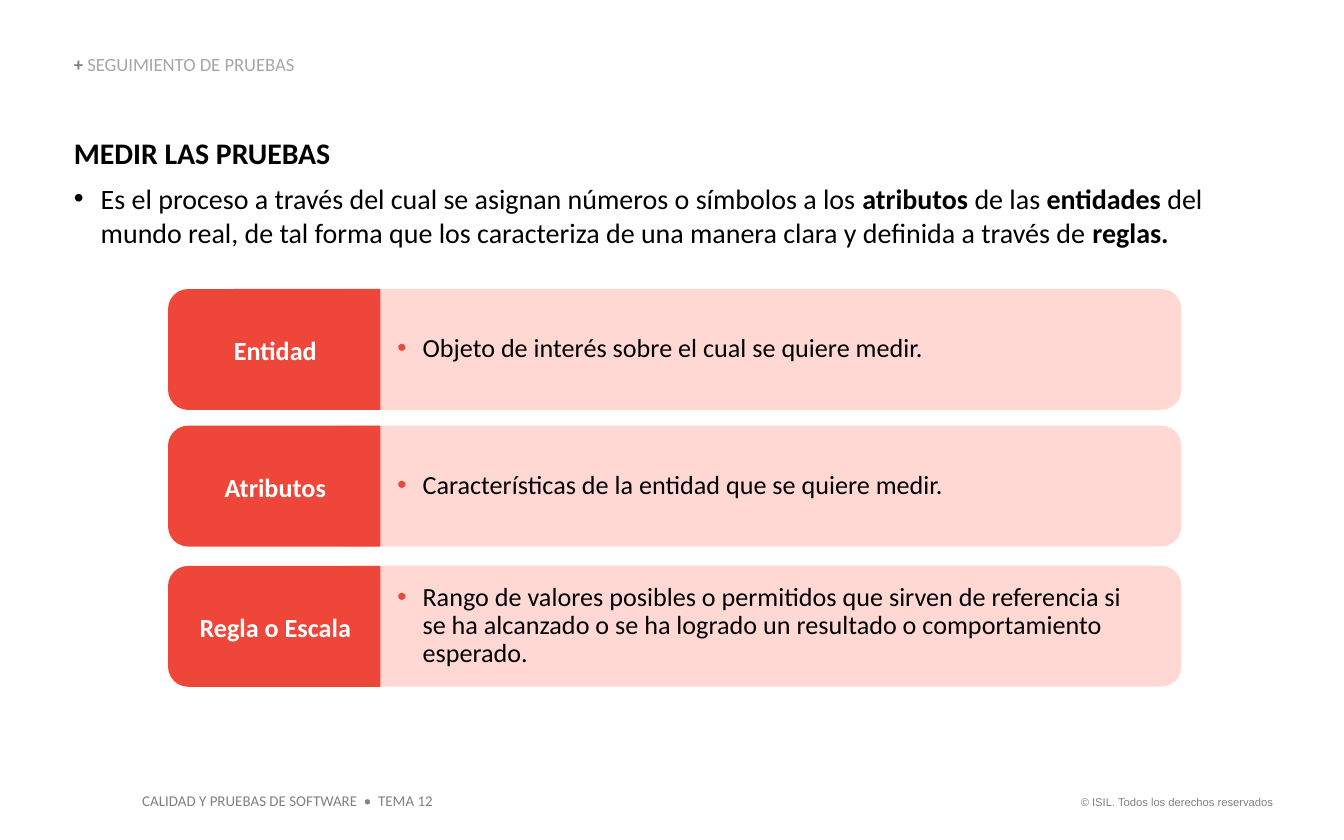
"""Build the slide on measuring tests, with its three definition cards."""
from dataclasses import dataclass

from lxml.etree import SubElement
from pptx import Presentation
from pptx.dml.color import RGBColor
from pptx.enum.shapes import MSO_SHAPE
from pptx.enum.text import MSO_ANCHOR, MSO_AUTO_SIZE, PP_ALIGN
from pptx.oxml.ns import qn
from pptx.util import Pt

BLACK = RGBColor(0x00, 0x00, 0x00)
WHITE = RGBColor(0xFF, 0xFF, 0xFF)
GRAY = RGBColor(0x80, 0x80, 0x80)
LIGHT_GRAY = RGBColor(0xA6, 0xA6, 0xA6)
RED = RGBColor(0xEE, 0x46, 0x39)
PINK = RGBColor(0xFF, 0xD8, 0xD4)

CARD_LEFT, CARD_WIDTH, CARD_HEIGHT = 174.24, 458.64, 64.8
TAB_LEFT, TAB_LENGTH = 114.48, 113.76
LABEL_LEFT, LABEL_WIDTH, LABEL_DROP, LABEL_HEIGHT = 91.4, 112.3, 24.5, 17.3


@dataclass(frozen=True)
class Span:
    text: str
    size: float
    color: RGBColor = BLACK
    bold: bool = False
    font: str = "Calibri"


@dataclass(frozen=True)
class Card:
    top: float
    label: str
    lines: tuple[str, ...]


CARDS = (
    Card(154.8, "Entidad", ("Objeto de interés sobre el cual se quiere medir.",)),
    Card(228, "Atributos", ("Características de la entidad que se quiere medir.",)),
    Card(303.1, "Regla o Escala", (
        "Rango de valores posibles o permitidos que sirven de referencia si ",
        "se ha alcanzado o se ha logrado un resultado o comportamiento esperado.",
    )),
)

DEFINITION = (
    ("Es el proceso a través del cual se asignan números o símbolos a los ", False),
    ("atributos", True),
    (" de las ", False),
    ("entidades", True),
    (" del mundo real, de tal forma que los caracteriza de una manera clara "
     "y definida a través de ", False),
    ("reglas.", True),
)


def apply(target, values: dict) -> None:
    """Set every attribute named in values."""
    for name, value in values.items():
        setattr(target, name, value)


def add_span(para, span: Span) -> None:
    """Append a formatted run to a paragraph."""
    run = para.add_run()
    run.text = span.text
    apply(run.font, {"name": span.font, "size": Pt(span.size), "bold": span.bold})
    run.font.color.rgb = span.color


def add_bullet(para, color: RGBColor, margin: float, hanging: float) -> None:
    """Give a paragraph a coloured bullet with a hanging indent."""
    properties = para._p.get_or_add_pPr()
    properties.set("marL", str(Pt(margin)))
    properties.set("indent", str(-Pt(hanging)))
    SubElement(SubElement(properties, qn("a:buClr")), qn("a:srgbClr"), val=str(color))
    SubElement(properties, qn("a:buFont"), typeface="Arial")
    SubElement(properties, qn("a:buChar"), char="•")


def clear_margins(frame) -> None:
    """Remove the inner margins of a text frame."""
    apply(frame, dict.fromkeys(
        ("margin_left", "margin_top", "margin_right", "margin_bottom"), Pt(0)))


def add_text(page, left: float, top: float, width: float, height: float,
             spans: tuple[Span, ...], align=PP_ALIGN.LEFT, wrap: bool = True):
    """Add a text box with one paragraph; wrapping boxes have no margins."""
    box = page.shapes.add_textbox(Pt(left), Pt(top), Pt(width), Pt(height))
    frame = box.text_frame
    apply(frame, {"word_wrap": wrap, "auto_size": MSO_AUTO_SIZE.SHAPE_TO_FIT_TEXT})
    if wrap:
        clear_margins(frame)
    para = frame.paragraphs[0]
    para.alignment = align
    for span in spans:
        add_span(para, span)
    return frame


def add_panel(page, kind, left: float, top: float, width: float, height: float,
              color: RGBColor):
    """Add a filled shape without outline or shadow."""
    shape = page.shapes.add_shape(kind, Pt(left), Pt(top), Pt(width), Pt(height))
    shape.shadow.inherit = False
    shape.fill.solid()
    shape.fill.fore_color.rgb = color
    shape.line.fill.background()
    return shape


def add_card(page, card: Card) -> None:
    """Draw a definition panel with its red tab and label."""
    panel = add_panel(page, MSO_SHAPE.ROUNDED_RECTANGLE, CARD_LEFT, card.top,
                      CARD_WIDTH, CARD_HEIGHT, PINK)
    frame = panel.text_frame
    apply(frame, {"word_wrap": True, "vertical_anchor": MSO_ANCHOR.MIDDLE})
    clear_margins(frame)
    para = frame.paragraphs[0]
    add_bullet(para, RED, 49, 13.5)
    apply(para, {"level": 1, "alignment": PP_ALIGN.LEFT,
                 "line_spacing": 0.9, "space_after": Pt(2)})
    for index, line in enumerate(card.lines):
        if index:
            para.add_line_break()
        add_span(para, Span(line, 14))

    tab_top = card.top + (CARD_HEIGHT - TAB_LENGTH) / 2
    tab = add_panel(page, MSO_SHAPE.ROUND_2_SAME_RECTANGLE, TAB_LEFT, tab_top,
                    CARD_HEIGHT, TAB_LENGTH, RED)
    tab.rotation = 270
    add_text(page, LABEL_LEFT, card.top + LABEL_DROP, LABEL_WIDTH, LABEL_HEIGHT,
             (Span(card.label, 14, WHITE, True),), PP_ALIGN.CENTER)


def main() -> None:
    """Build and save the deck."""
    deck = Presentation()
    apply(deck, {"slide_width": Pt(720), "slide_height": Pt(450)})
    page = deck.slides.add_slide(deck.slide_layouts[6])

    add_text(page, 567.4, 422.6, 121.7, 14.4,
             (Span("© ISIL. Todos los derechos reservados", 6, GRAY, font="Arial"),),
             PP_ALIGN.RIGHT, wrap=False)
    add_text(page, 69.1, 420.5, 170.6, 17.3,
             (Span("CALIDAD Y PRUEBAS DE SOFTWARE  •  TEMA 12", 8, GRAY),), wrap=False)

    body = add_text(page, 39.6, 72, 643.7, 64.1,
                    (Span("MEDIR LAS PRUEBAS", 16, bold=True),))
    body.paragraphs[0].space_after = Pt(6)
    para = body.add_paragraph()
    add_bullet(para, BLACK, 14.4, 14.4)
    for text, bold in DEFINITION:
        add_span(para, Span(text, 15, bold=bold))

    header = add_text(page, 39.6, 29.5, 259.9, 10.8,
                      (Span("+ ", 10, GRAY, True),
                       Span("SEGUIMIENTO DE PRUEBAS", 10, LIGHT_GRAY)))
    header.vertical_anchor = MSO_ANCHOR.BOTTOM
    header.paragraphs[0].line_spacing = 0.9

    for card in CARDS:
        add_card(page, card)
    deck.save("out.pptx")


if __name__ == "__main__":
    main()
